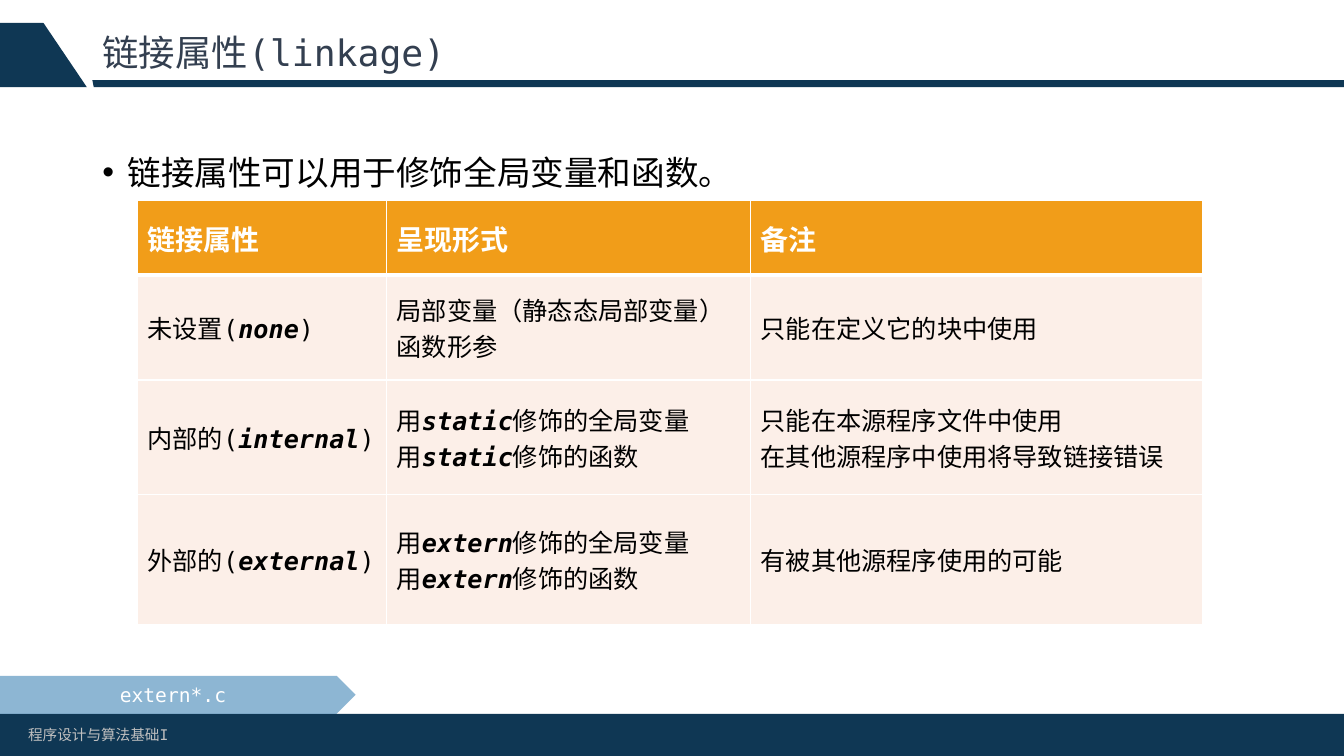
from lxml.etree import SubElement
from pptx import Presentation
from pptx.dml.color import RGBColor
from pptx.enum.shapes import MSO_SHAPE
from pptx.enum.text import MSO_ANCHOR, PP_ALIGN
from pptx.oxml import parse_xml
from pptx.oxml.ns import nsdecls, qn
from pptx.util import Pt

FONT = "DejaVu Sans Mono"
NAVY = RGBColor(0x0F, 0x37, 0x54)
BLUE = RGBColor(0x1D, 0x6F, 0xA9)
ORANGE = RGBColor(0xF1, 0x9D, 0x19)
CREAM = RGBColor(0xFC, 0xEF, 0xE8)
SLATE = RGBColor(0x33, 0x3F, 0x50)
GREY = RGBColor(0xBF, 0xBF, 0xBF)
WHITE = RGBColor(0xFF, 0xFF, 0xFF)
BLACK = RGBColor(0, 0, 0)

WIDTH, HEIGHT = 960, 540
COLUMNS = [178, 260, 322.5]
ROWS = [53, 75, 82, 92.5]
HEADER = ["链接属性", "呈现形式", "备注"]
BODY = [
    [["未设置(*none*)"], ["局部变量（静态态局部变量）", "函数形参"],
     ["只能在定义它的块中使用"]],
    [["内部的(*internal*)"], ["用*static*修饰的全局变量", "用*static*修饰的函数"],
     ["只能在本源程序文件中使用", "在其他源程序中使用将导致链接错误"]],
    [["外部的(*external*)"], ["用*extern*修饰的全局变量", "用*extern*修饰的函数"],
     ["有被其他源程序使用的可能"]],
]


def add_run(p, text, size, color, bold=False, italic=False):
    """Add one formatted run to a paragraph."""
    r = p.add_run()
    r.text = text
    font = r.font
    font.name, font.size, font.bold, font.italic = FONT, Pt(size), bold, italic
    font.color.rgb = color


def add_text(s, x, y, w, h, text, size, color, anchor=MSO_ANCHOR.TOP):
    """Add a wrapped one-paragraph text box and return its paragraph."""
    tf = s.shapes.add_textbox(Pt(x), Pt(y), Pt(w), Pt(h)).text_frame
    tf.word_wrap = True
    tf.vertical_anchor = anchor
    p = tf.paragraphs[0]
    add_run(p, text, size, color)
    return p


def paint(sp, color):
    """Give a shape a plain fill without line or shadow."""
    sp.shadow.inherit = False
    sp.fill.solid()
    sp.fill.fore_color.rgb = color
    sp.line.fill.background()


def add_outline(s, points):
    """Draw a closed navy polygon through the points."""
    builder = s.shapes.build_freeform(Pt(points[0][0]), Pt(points[0][1]))
    builder.add_line_segments([(Pt(x), Pt(y)) for x, y in points[1:]])
    paint(builder.convert_to_shape(), NAVY)


def add_bar(s, kind, x, y, w, h, color):
    """Add a preset shape with a plain fill."""
    sp = s.shapes.add_shape(kind, Pt(x), Pt(y), Pt(w), Pt(h))
    paint(sp, color)
    return sp


def set_bullet(p, indent):
    """Turn a paragraph into a bullet with a hanging indent."""
    pPr = p._p.get_or_add_pPr()
    pPr.set("marL", str(Pt(indent)))
    pPr.set("indent", str(-Pt(indent)))
    SubElement(pPr, qn("a:buFont")).set("typeface", "Arial")
    SubElement(pPr, qn("a:buChar")).set("char", "•")


def set_borders(cell, widths):
    """Draw white cell borders, given as left, right, top and bottom widths."""
    tcPr = cell._tc.get_or_add_tcPr()
    for i, (side, width) in enumerate(zip("LRTB", widths)):
        tcPr.insert(i, parse_xml(
            f'<a:ln{side} {nsdecls("a")} w="{Pt(width)}"><a:solidFill>'
            f'<a:srgbClr val="{WHITE}"/></a:solidFill></a:ln{side}>'))


def fill_cell(cell, lines, size, color, fill, bold, widths):
    """Fill a cell with lines whose starred parts are bold italic."""
    cell.vertical_anchor = MSO_ANCHOR.MIDDLE
    cell.fill.solid()
    cell.fill.fore_color.rgb = fill
    set_borders(cell, widths)
    tf = cell.text_frame
    for i, line in enumerate(lines):
        p = tf.add_paragraph() if i else tf.paragraphs[0]
        p.alignment = PP_ALIGN.JUSTIFY
        for j, part in enumerate(line.split("*")):
            keyword = j % 2 == 1
            add_run(p, part, size, color, bold or keyword, keyword)


def add_linkage_table(s, x, y):
    """Add the table of linkage kinds."""
    table = s.shapes.add_table(len(ROWS), len(COLUMNS), Pt(x), Pt(y),
                               Pt(sum(COLUMNS)), Pt(sum(ROWS))).table
    for column, width in zip(table.columns, COLUMNS):
        column.width = Pt(width)
    for row, height in zip(table.rows, ROWS):
        row.height = Pt(height)
    for c, title in enumerate(HEADER):
        fill_cell(table.cell(0, c), [title], 20, WHITE, ORANGE, True, (1, 1, 1, 3))
    for i, row in enumerate(BODY, 1):
        top = 3 if i == 1 else 1
        for c, lines in enumerate(row):
            fill_cell(table.cell(i, c), lines, 18, BLACK, CREAM, False, (1, 1, top, 1))


def add_file_tag(s, text):
    """Add the half-transparent arrow tag with a file name."""
    sp = add_bar(s, MSO_SHAPE.PENTAGON, 0, 482.7, 254, 27.2, BLUE)
    color = sp.fill._xPr.find(qn("a:solidFill"))[0]
    SubElement(color, qn("a:alpha")).set("val", "50000")
    tf = sp.text_frame
    tf.vertical_anchor = MSO_ANCHOR.MIDDLE
    p = tf.paragraphs[0]
    p.alignment = PP_ALIGN.CENTER
    add_run(p, text, 14, WHITE)


def main():
    """Build the slide on linkage and save it."""
    prs = Presentation()
    prs.slide_width, prs.slide_height = Pt(WIDTH), Pt(HEIGHT)
    s = prs.slides.add_slide(prs.slide_layouts[6])
    add_outline(s, [(66, 57.3), (WIDTH, 57.3), (WIDTH, 62.3), (67, 62.3)])
    add_outline(s, [(31, 16.3), (62, 62.2), (0, 62.2), (0, 16.3)])
    add_bar(s, MSO_SHAPE.RECTANGLE, 0, 509.9, WIDTH, 30.1, NAVY)
    add_text(s, 13, 514.8, 311, 21, "程序设计与算法基础I", 10.5, GREY)
    title = add_text(s, 66, 16.3, 828, 46, "链接属性(linkage)", 26, SLATE,
                     MSO_ANCHOR.MIDDLE)
    title.line_spacing = 0.9
    point = add_text(s, 66, 90.7, 828, 391, "链接属性可以用于修饰全局变量和函数。",
                     24, BLACK)
    point.alignment = PP_ALIGN.JUSTIFY
    point.line_spacing = 1.5
    set_bullet(point, 18)
    add_linkage_table(s, 98.2, 143.5)
    add_file_tag(s, "extern*.c")
    prs.save("out.pptx")


if __name__ == "__main__":
    main()
